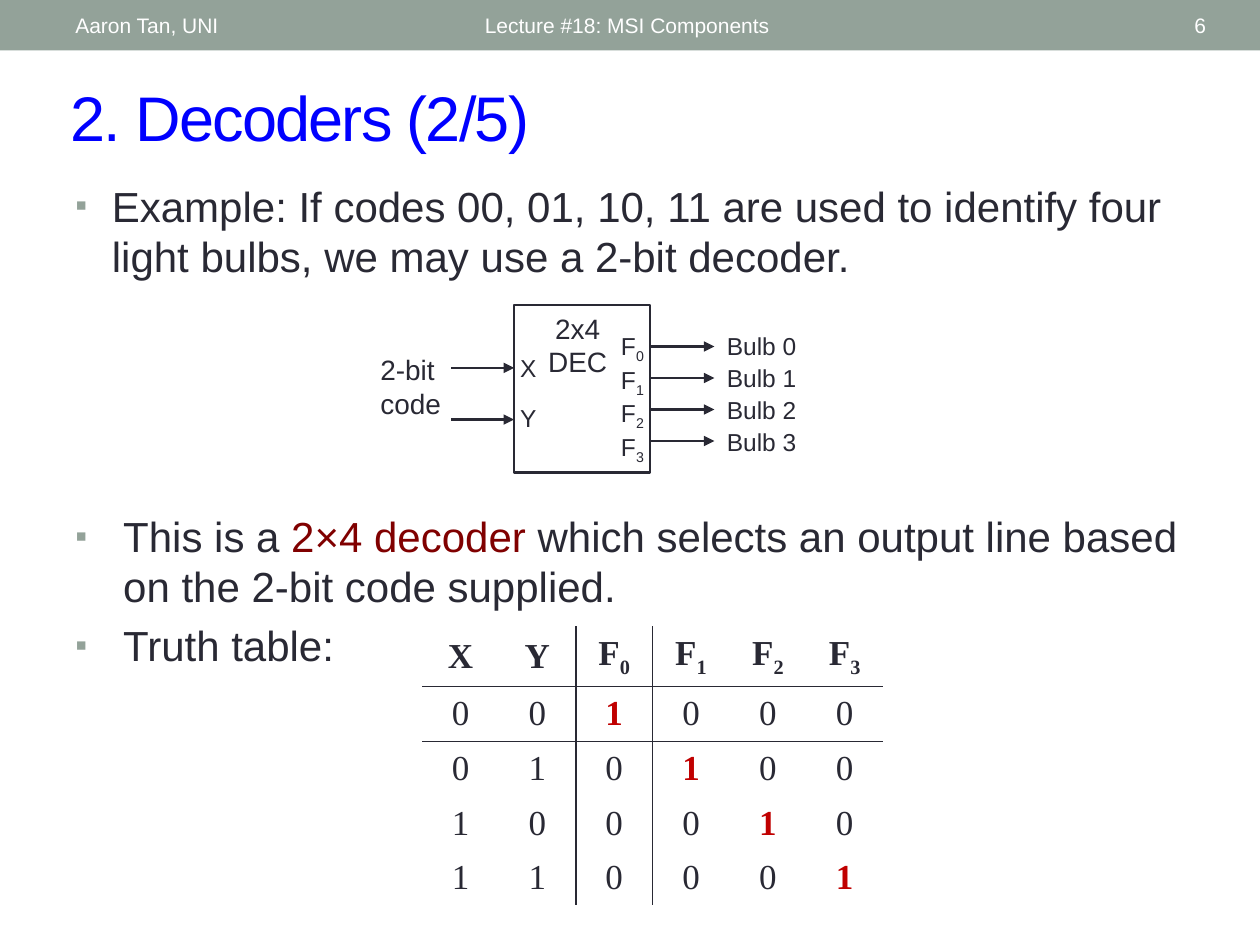
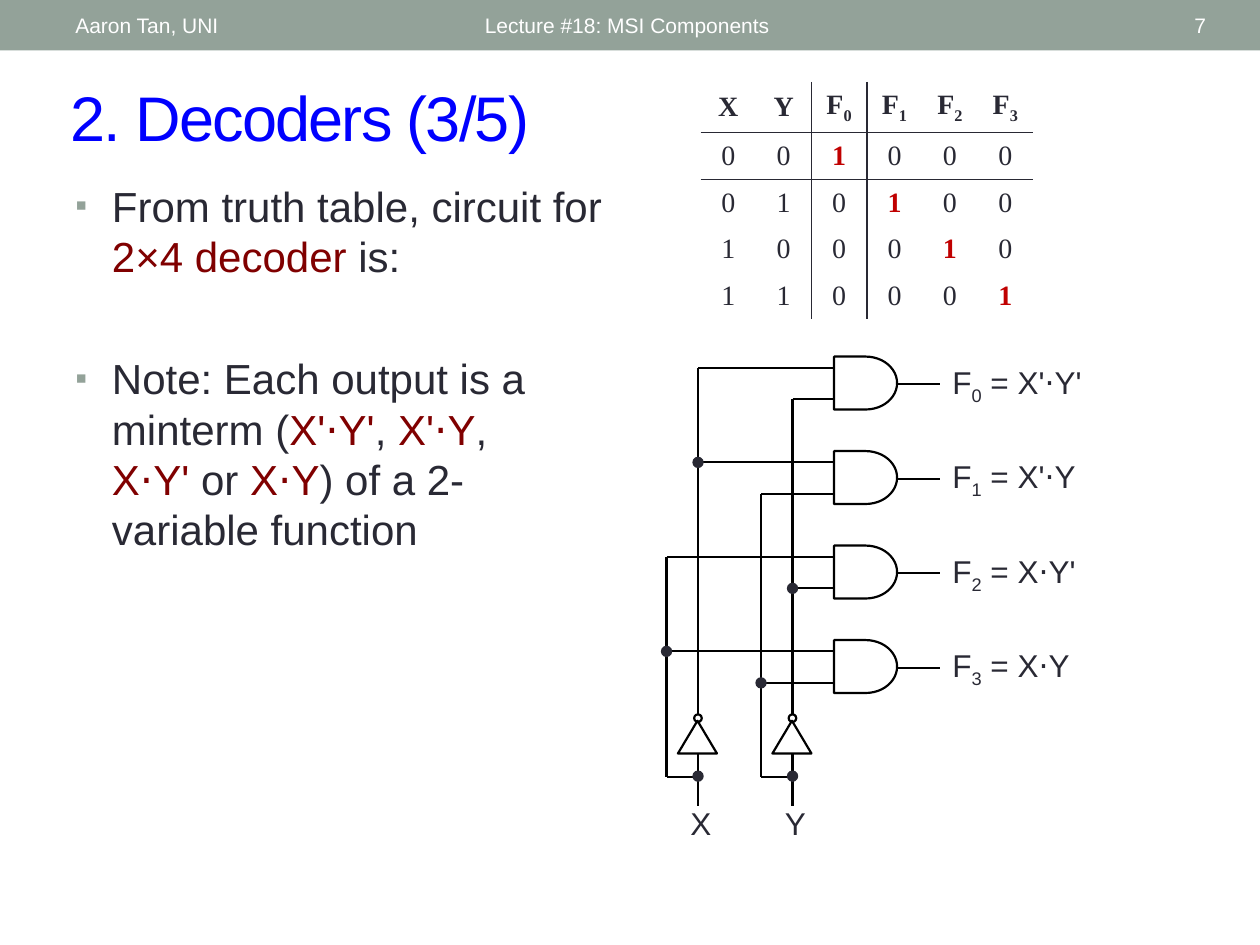
import pptx
import pptx.util
import pptx.dml.color
import pptx.enum.shapes
import pptx.enum.text
import pptx.oxml
import pptx.oxml.ns
from dataclasses import dataclass

Inches, Pt = pptx.util.Inches, pptx.util.Pt
SHAPE = pptx.enum.shapes.MSO_SHAPE
ALIGN = pptx.enum.text.PP_ALIGN
ANCHOR = pptx.enum.text.MSO_ANCHOR


@dataclass(frozen=True)
class Theme:
    band: str = "93A299"
    title: str = "0000FF"
    text: str = "292934"
    key: str = "800000"
    one: str = "C00000"
    wire: str = "000000"
    white: str = "FFFFFF"
    font: str = "Arial"
    table_font: str = "Times New Roman"
    title_size: int = 36
    body_size: int = 24
    equation_size: int = 18
    block_size: int = 16
    pin_size: int = 14
    band_size: int = 12
    wire_width: float = 1.25


THEME = Theme()
NO_STYLE_TABLE = "{2D5ABB26-0587-4C30-8999-92F81FD0307C}"
FIRST_NUMBER = 6

# A paragraph is a list of runs; a run is plain text or (text, "key" | "sub" | "one" | "bold").
BAND_TEXTS = [
    ("Lecture #18: MSI Components", (3.75, 0.02, 4.5, 0.36), ALIGN.LEFT),
    (None, (8.72, 0.02, 0.95, 0.36), ALIGN.RIGHT),
    ("Aaron Tan, UNI", (0.5, 0.02, 3.17, 0.36), ALIGN.LEFT),
]
EXAMPLE = [["Example: If codes 00, 01, 10, 11 are used to identify four light bulbs, "
            "we may use a 2-bit decoder."]]
SELECTION = [
    ["This is a ", ("2×4 decoder", "key"),
     " which selects an output line based on the 2-bit code supplied."],
    ["Truth table:"],
]
CIRCUIT_INTRO = [["From truth table, circuit for ", ("2×4 decoder", "key"), " is:"]]
MINTERM_NOTE = [[
    "Note: Each output is a minterm (", ("X'⋅Y'", "key"), ", ", ("X'⋅Y", "key"), ", ",
    ("X⋅Y'", "key"), " or ", ("X⋅Y", "key"), ") of a 2-variable function",
]]
MINTERMS = [("X'", "Y'"), ("X'", "Y"), ("X", "Y'"), ("X", "Y")]
INPUT_ROWS = ["00", "01", "10", "11"]
OUTPUTS = range(4)
COLUMN_X = {"X": 5.29, "X'": 5.54, "Y": 6.04, "Y'": 6.29}


def rgb(color):
    return pptx.dml.color.RGBColor.from_string(color)


def box(left, top, width, height):
    return Inches(left), Inches(top), Inches(width), Inches(height)


def xml(markup):
    return pptx.oxml.parse_xml(
        markup.replace(" ", f" {pptx.oxml.ns.nsdecls('a')} ", 1))


def output_name(index, style=None):
    return [("F", style) if style else "F", (str(index), "sub")]


def add_runs(paragraph, runs, size, color=THEME.text, font=THEME.font, bold=False):
    for item in runs:
        text, style = (item, None) if isinstance(item, str) else item
        run = paragraph.add_run()
        run.text = text
        run.font.name, run.font.size = font, Pt(size)
        run.font.bold = bold or style in ("bold", "one")
        run.font.color.rgb = rgb({"key": THEME.key, "one": THEME.one}.get(style, color))
        if style == "sub":
            run.font._element.set("baseline", "-25000")


def add_text(shapes, at, paragraphs, size, color=THEME.text, align=ALIGN.LEFT,
             anchor=ANCHOR.TOP, gap=0):
    """Add a wrapping text box; gap is the space in points between paragraphs."""
    frame = shapes.add_textbox(*box(*at)).text_frame
    frame.word_wrap = True
    frame.vertical_anchor = anchor
    for index, runs in enumerate(paragraphs):
        paragraph = frame.add_paragraph() if index else frame.paragraphs[0]
        paragraph.alignment = align
        paragraph.space_before = Pt(gap if index else 0)
        add_runs(paragraph, runs, size, color)
    return frame


def add_bullets(slide, at, paragraphs, indent):
    frame = add_text(slide.shapes, at, paragraphs, THEME.body_size, gap=4.8)
    for paragraph in frame.paragraphs:
        properties = paragraph._p.get_or_add_pPr()
        properties.set("marL", str(Inches(indent)))
        properties.set("indent", str(-Inches(indent)))
        for markup in (f'<a:buClr ><a:srgbClr val="{THEME.band}"/></a:buClr>',
                       '<a:buSzPct val="80000"/>',
                       '<a:buFont typeface="Arial"/>',
                       '<a:buChar char="▪"/>'):
            properties.append(xml(markup))


def add_shape(shapes, kind, at, fill=None, line=None, width=THEME.wire_width):
    shape = shapes.add_shape(kind, *box(*at))
    shape.shadow.inherit = False
    if fill:
        shape.fill.solid()
        shape.fill.fore_color.rgb = rgb(fill)
    else:
        shape.fill.background()
    if line:
        shape.line.color.rgb = rgb(line)
        shape.line.width = Pt(width)
    else:
        shape.line.fill.background()
    return shape


def add_wire(shapes, x1, y1, x2, y2, color=THEME.wire, arrow=False):
    wire = shapes.add_connector(pptx.enum.shapes.MSO_CONNECTOR.STRAIGHT,
                                Inches(x1), Inches(y1), Inches(x2), Inches(y2))
    wire.line.color.rgb = rgb(color)
    wire.line.width = Pt(THEME.wire_width)
    if arrow:
        wire.line._get_or_add_ln().append(xml('<a:tailEnd type="triangle"/>'))
    wire._element.spPr.append(xml("<a:effectLst />"))


def add_dot(shapes, x, y):
    add_shape(shapes, SHAPE.OVAL, (x - 0.04, y - 0.04, 0.08, 0.08),
              THEME.text, THEME.text, 0.75)


def add_base_slide(presentation, title, number):
    slide = presentation.slides.add_slide(presentation.slide_layouts[5])
    add_shape(slide.shapes, SHAPE.RECTANGLE, (0, 0, 10, 0.4), THEME.band)
    heading = slide.shapes.title
    heading.left, heading.top, heading.width, heading.height = box(0.46, 0.57, 9.21, 0.7)
    frame = heading.text_frame
    frame.auto_size = pptx.enum.text.MSO_AUTO_SIZE.NONE
    frame.vertical_anchor = ANCHOR.MIDDLE
    paragraph = frame.paragraphs[0]
    paragraph.alignment = ALIGN.LEFT
    add_runs(paragraph, [title], THEME.title_size, THEME.title)
    paragraph.runs[0].font._element.set("spc", "-100")
    for text, at, align in BAND_TEXTS:
        add_text(slide.shapes, at, [[text or str(number)]], THEME.band_size,
                 THEME.white, align, ANCHOR.MIDDLE)
    return slide


def set_borders(cell, sides):
    properties = cell._tc.get_or_add_tcPr()
    drawn = [side for side in "LRTB" if side in sides]
    for index, side in enumerate(drawn):
        properties.insert(index, xml(
            f'<a:ln{side} w="{Pt(1)}"><a:solidFill><a:srgbClr val="{THEME.text}"/>'
            f'</a:solidFill></a:ln{side}>'))


def add_truth_table(slide, left, top, column_width, header_height, row_height, size):
    rows = [[["X"], ["Y"]] + [output_name(index) for index in OUTPUTS]]
    for row, code in enumerate(INPUT_ROWS):
        outputs = [[("1", "one")] if row == index else ["0"] for index in OUTPUTS]
        rows.append([[bit] for bit in code] + outputs)
    columns = len(rows[0])
    height = header_height + row_height * len(INPUT_ROWS)
    frame = slide.shapes.add_table(
        len(rows), columns, *box(left, top, column_width * columns, height))
    table = frame.table
    table.first_row = table.horz_banding = False
    table._tbl.tblPr.find(pptx.oxml.ns.qn("a:tableStyleId")).text = NO_STYLE_TABLE
    for column in table.columns:
        column.width = Inches(column_width)
    for row, values in enumerate(rows):
        table.rows[row].height = Inches(row_height if row else header_height)
        for column, runs in enumerate(values):
            cell = table.cell(row, column)
            cell.fill.background()
            cell.vertical_anchor = ANCHOR.MIDDLE
            paragraph = cell.text_frame.paragraphs[0]
            paragraph.alignment = ALIGN.CENTER
            add_runs(paragraph, runs, size, font=THEME.table_font, bold=row == 0)
            set_borders(cell, {1: "R", 2: "L"}.get(column, "") + {0: "B", 1: "T"}.get(row, ""))


def add_decoder_block(slide):
    shapes = slide.shapes.add_group_shape().shapes
    add_shape(shapes, SHAPE.RECTANGLE, (4.08, 2.42, 1.08, 1.33), line=THEME.text, width=1.5)
    add_text(shapes, (4.17, 2.42, 0.83, 0.64), [["2x4"], ["DEC"]], THEME.block_size,
             align=ALIGN.CENTER)
    for y in (2.92, 3.33):
        add_wire(shapes, 3.58, y, 4.08, y, THEME.text, arrow=True)
    for index in OUTPUTS:
        y = 2.75 + 0.25 * index
        add_wire(shapes, 5.17, y, 5.67, y, THEME.text, arrow=True)
    add_text(shapes, (2.92, 2.75, 0.75, 0.64), [["2-bit code"]], THEME.block_size)
    add_text(shapes, (4.03, 2.75, 0.42, 0.73), [["X"], ["Y"]], THEME.pin_size, gap=12)
    add_text(shapes, (4.83, 2.58, 0.42, 1.03), [output_name(index) for index in OUTPUTS],
             THEME.pin_size)
    add_text(shapes, (5.67, 2.58, 1.17, 1.1), [[f"Bulb {index}"] for index in OUTPUTS],
             THEME.pin_size, gap=1.4)


def add_decoder_circuit(slide):
    shapes = slide.shapes.add_group_shape().shapes
    taps = {name: [] for name in COLUMN_X}
    for index, minterm in enumerate(MINTERMS):
        top = 2.83 + 0.75 * index
        add_shape(shapes, SHAPE.FLOWCHART_DELAY, (6.62, top, 0.5, 0.42), line=THEME.wire)
        for literal, y in zip(minterm, (top + 0.09, top + 0.34)):
            taps[literal].append(y)
            add_wire(shapes, COLUMN_X[literal], y, 6.62, y)
        add_wire(shapes, 7.12, top + 0.22, 7.46, top + 0.22)
        equation = output_name(index) + [" = " + "⋅".join(minterm)]
        add_text(shapes, (7.46, top, 1.29, 0.4), [equation], THEME.equation_size)

    for name in ("X", "Y"):
        direct, inverted = COLUMN_X[name], COLUMN_X[name + "'"]
        add_wire(shapes, direct, taps[name][0], direct, 6.17)
        add_wire(shapes, direct, 6.17, inverted, 6.17)
        add_wire(shapes, inverted, taps[name + "'"][0], inverted, 5.67)
        add_wire(shapes, inverted, 5.98, inverted, 6.4)
        inverter = add_shape(shapes, SHAPE.FLOWCHART_MERGE,
                             (inverted - 0.16, 5.72, 0.31, 0.26), line=THEME.wire)
        inverter.rotation = 180
        add_shape(shapes, SHAPE.OVAL, (inverted - 0.03, 5.67, 0.06, 0.06), line=THEME.wire)
        add_text(shapes, (inverted - 0.16, 6.33, 0.42, 0.4), [[name]], THEME.equation_size)
        add_dot(shapes, inverted, 6.16)
    for name, heights in taps.items():
        add_dot(shapes, COLUMN_X[name], heights[1])


def build_example(slide):
    add_bullets(slide, (0.5, 1.38, 9, 1.04), EXAMPLE, 0.29)
    add_decoder_block(slide)
    add_bullets(slide, (0.5, 4, 9, 1.92), SELECTION, 0.38)
    add_truth_table(slide, 3.35, 4.97, 0.61, 0.48, 0.43, 20)


def build_circuit(slide):
    add_bullets(slide, (0.5, 1.38, 4.75, 1.04), CIRCUIT_INTRO, 0.29)
    add_decoder_circuit(slide)
    add_bullets(slide, (0.5, 2.75, 3.92, 1.92), MINTERM_NOTE, 0.29)
    add_truth_table(slide, 5.56, 0.65, 0.44, 0.4, 0.37, 16)


def main():
    presentation = pptx.Presentation()
    presentation.slide_width, presentation.slide_height = Inches(10), Inches(7.5)
    pages = [("2. Decoders (2/5)", build_example), ("2. Decoders (3/5)", build_circuit)]
    for number, (title, build) in enumerate(pages, FIRST_NUMBER):
        build(add_base_slide(presentation, title, number))
    presentation.save("out.pptx")


if __name__ == "__main__":
    main()
